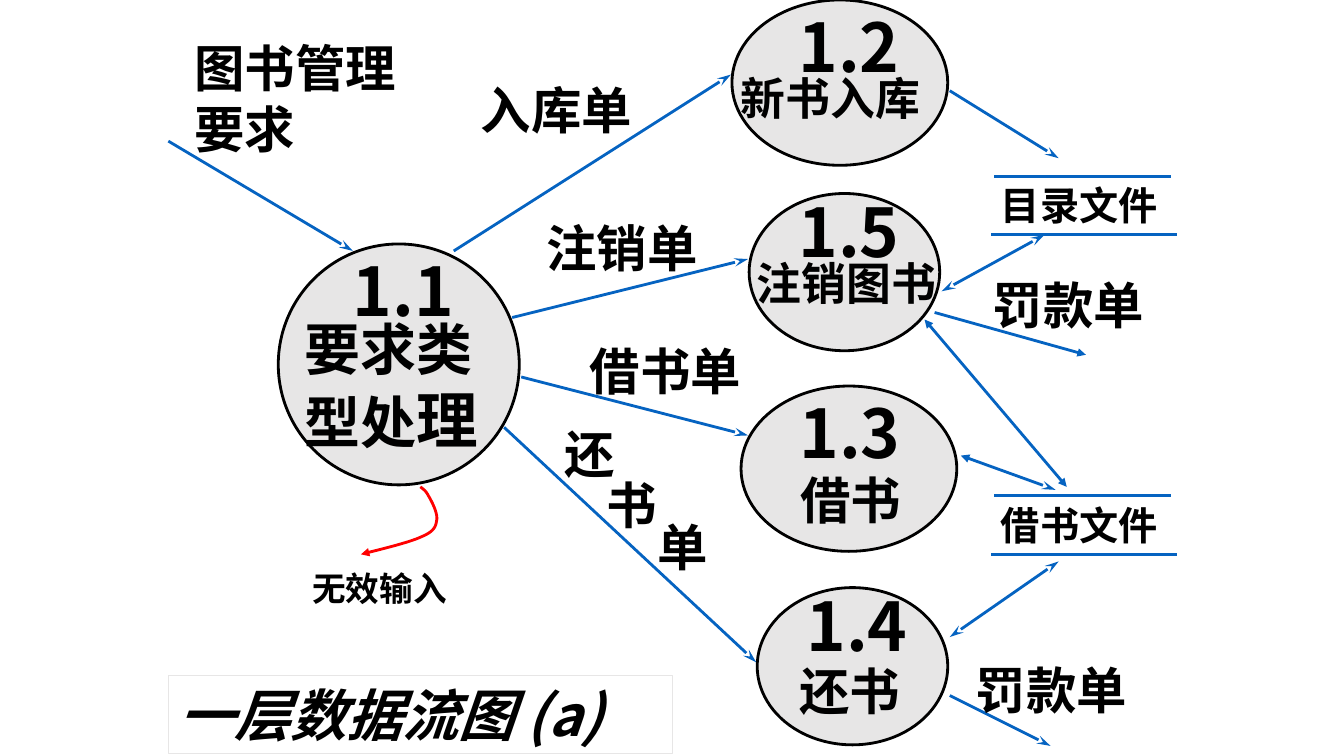
from dataclasses import dataclass

from lxml.etree import SubElement
from pptx import Presentation
from pptx.dml.color import RGBColor as RGB
from pptx.enum.shapes import MSO_CONNECTOR as Conn, MSO_SHAPE as Shape
from pptx.enum.text import MSO_ANCHOR as Anchor, MSO_AUTO_SIZE as Auto, PP_ALIGN as Align
from pptx.oxml.ns import qn
from pptx.util import Inches, Pt


@dataclass(frozen=True)
class Theme:
    font: str = "Noto Sans CJK SC"
    ink: RGB = RGB(0x00, 0x00, 0x00)
    gray: RGB = RGB(0xE7, 0xE6, 0xE6)
    flow: RGB = RGB(0x05, 0x63, 0xC1)
    error: RGB = RGB(0xFF, 0x00, 0x00)
    number: int = 48
    big: int = 44
    title: int = 40
    label: int = 36
    name: int = 32
    store: int = 28
    note: int = 24
    stroke: float = 2
    frame: float = 0.75


def add_run(p, text, *, theme, size, italic=False):
    r = p.add_run()
    r.text = text
    f = r.font
    f.name, f.size, f.bold, f.italic = theme.font, Pt(size), True, italic
    f.color.rgb = theme.ink
    SubElement(f._element, qn("a:ea")).set("typeface", theme.font)


def bezier(start, c1, c2, end, steps=12):
    """Points along a cubic curve, without its start."""
    for i in range(1, steps + 1):
        t = i / steps
        u = 1 - t
        yield tuple(u**3 * a + 3 * u * u * t * b + 3 * u * t * t * c + t**3 * d
                    for a, b, c, d in zip(start, c1, c2, end))


class Diagram:
    def __init__(self, slide, theme):
        self.s, self.theme = slide, theme

    def stroke(self, line, color, width, head=None, tail=None):
        line.color.rgb, line.width = color, Pt(width)
        ln = line._get_or_add_ln()
        for tag, kind in (("a:headEnd", head), ("a:tailEnd", tail)):
            if kind:
                end = SubElement(ln, qn(tag))
                end.set("type", kind)
                end.set("len", "lg" if kind == "stealth" else "med")

    def fill_text(self, sp, lines, size, wrap=True, italic=False):
        """Write lines, each a list of (text, size) runs or a plain string."""
        tf = sp.text_frame
        tf.word_wrap, tf.auto_size = wrap, Auto.NONE
        tf.vertical_anchor = Anchor.TOP
        tf.margin_left = tf.margin_right = Inches(0.1)
        tf.margin_top = tf.margin_bottom = Inches(0.05)
        for i, line in enumerate(lines):
            p = tf.add_paragraph() if i else tf.paragraphs[0]
            p.alignment, p.line_spacing = Align.LEFT, 1.0
            p.space_before = p.space_after = Pt(0)
            for text, pts in ([(line, size)] if isinstance(line, str) else line):
                add_run(p, text, theme=self.theme, size=pts, italic=italic)

    def title(self, text, x, y, w, h):
        sp = self.s.shapes.title
        sp.left, sp.top, sp.width, sp.height = map(Inches, (x, y, w, h))
        self.stroke(sp.line, self.theme.gray, self.theme.frame)
        self.fill_text(sp, [text], self.theme.title, italic=True)

    def text(self, lines, x, y, w, h, size, wrap=True):
        sp = self.s.shapes.add_textbox(*map(Inches, (x, y, w, h)))
        self.fill_text(sp, lines, size, wrap)

    def line(self, start, end, head=None, tail=None):
        c = self.s.shapes.add_connector(Conn.STRAIGHT, *map(Inches, (*start, *end)))
        self.stroke(c.line, self.theme.flow, self.theme.stroke, head, tail)
        SubElement(c._element.spPr, qn("a:effectLst"))

    def curve(self, start, *segments):
        points = [start]
        for seg in segments:
            points += bezier(points[-1], *seg)
        first, *rest = [(Inches(x), Inches(y)) for x, y in points]
        fb = self.s.shapes.build_freeform(*first)
        fb.add_line_segments(rest, close=False)
        sp = fb.convert_to_shape()
        sp.shadow.inherit = False
        sp.fill.background()
        self.stroke(sp.line, self.theme.error, self.theme.stroke, tail="triangle")

    def process(self, oval, number, number_at, lines, name_box, size):
        sp = self.s.shapes.add_shape(Shape.OVAL, *map(Inches, oval))
        sp.shadow.inherit = False
        sp.fill.solid()
        sp.fill.fore_color.rgb = self.theme.gray
        self.stroke(sp.line, self.theme.ink, self.theme.stroke)
        self.text(lines, *name_box, size)
        self.text([number], *number_at, 1.22, 0.91, self.theme.number, wrap=False)

    def data_store(self, name, y):
        self.text([name], 9.83, y, 1.83, 0.57, self.theme.store)
        self.line((9.86, y), (11.61, y))
        self.line((9.83, y + 0.58), (11.67, y + 0.58))


def main():
    th = Theme()
    prs = Presentation()
    prs.slide_width, prs.slide_height = Inches(13.33), Inches(7.5)
    d = Diagram(prs.slides.add_slide(prs.slide_layouts[5]), th)
    d.title("一层数据流图 (a)", 1.67, 6.7, 5, 0.78)

    processes = [
        ((2.76, 2.42, 2.39, 2.39), "1.1", (3.4, 2.42),
         ["要求类", [("型处", th.title), ("理", th.big)]], (2.92, 3.07, 3.08, 1.52), th.title),
        ((7.26, 0, 2.14, 1.64), "1.2", (7.82, 0), ["新书入库"], (7.25, 0.65, 2.33, 0.64), th.name),
        ((7.43, 1.92, 1.89, 1.56), "1.5", (7.82, 1.84), ["注销图书"], (7.41, 2.49, 2.33, 0.64), th.name),
        ((7.35, 3.83, 2.14, 1.64), "1.3", (7.83, 3.83), ["借书"], (7.84, 4.6, 1.5, 0.7), th.label),
        ((7.51, 5.83, 1.89, 1.56), "1.4", (7.9, 5.75), ["还书"], (7.83, 6.5, 1.5, 0.7), th.label),
    ]
    for process in processes:
        d.process(*process)

    for name, y in (("目录文件", 1.75), ("借书文件", 4.92)):
        d.data_store(name, y)

    flows = [
        ((1.67, 1.4), (3.5, 2.49), None, "stealth"),
        ((4.5, 2.49), (7.25, 0.74), None, "stealth"),
        ((5.08, 3.15), (7.42, 2.57), None, "stealth"),
        ((5.17, 3.74), (7.42, 4.32), None, "stealth"),
        ((5, 4.24), (7.5, 6.57), None, "stealth"),
        ((9.42, 0.9), (10.5, 1.57), None, "stealth"),
        ((9.34, 2.89), (10.36, 2.33), "stealth", "stealth"),
        ((9.27, 3.1), (10.77, 3.52), None, "triangle"),
        ((9.17, 3.17), (10.58, 4.83), "triangle", "triangle"),
        ((9.53, 4.52), (10.47, 4.86), "triangle", "stealth"),
        ((9.42, 6.32), (10.5, 5.57), "stealth", "stealth"),
        ((9.42, 6.9), (10.42, 7.4), None, "stealth"),
    ]
    for flow in flows:
        d.line(*flow)
    d.curve((4.17, 4.83),
            ((4.19, 4.85), (4.22, 4.86), (4.25, 4.92)),
            ((4.28, 4.97), (4.35, 5.1), (4.33, 5.17)),
            ((4.32, 5.24), (4.29, 5.28), (4.17, 5.33)),
            ((4.04, 5.39), (3.69, 5.47), (3.58, 5.5)))

    d.text(["图书管理要求"], 1.83, 0.32, 2.25, 1.3, th.label)
    d.text(["无效输入"], 3, 5.58, 1.67, 0.51, th.note)
    slips = [("入库单", 4.67, 0.74), ("注销单", 5.32, 2.11), ("借书单", 5.75, 3.33),
             ("罚款单", 9.75, 2.67), ("罚款单", 9.58, 6.49)]
    for slip, x, y in slips:
        d.text([slip], x, y, 1.92, 0.7, th.label)
    for char, x, y in (("还", 5.5, 4.15), ("书", 5.92, 4.65), ("单", 6.42, 5.07)):
        d.text([char], x, y, 0.83, 0.7, th.label)

    prs.save("out.pptx")


if __name__ == "__main__":
    main()
